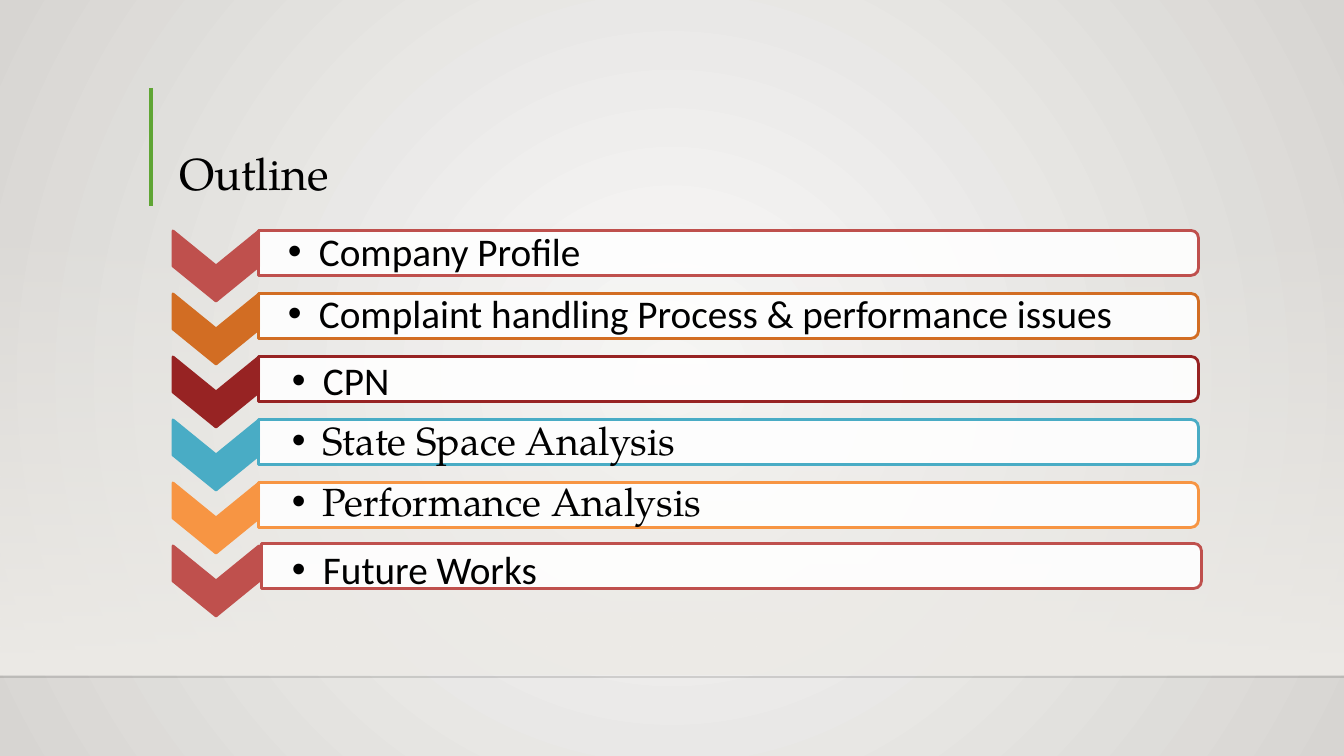
from pptx import Presentation
from pptx.dml.color import RGBColor
from pptx.enum.shapes import MSO_CONNECTOR, MSO_SHAPE
from pptx.enum.text import MSO_ANCHOR, PP_ALIGN
from pptx.oxml.ns import qn
from pptx.util import Pt
from lxml import etree

STRAIGHT = MSO_CONNECTOR.STRAIGHT
RECTANGLE = MSO_SHAPE.RECTANGLE
CHEVRON = MSO_SHAPE.CHEVRON
BAR = MSO_SHAPE.ROUND_2_SAME_RECTANGLE
MIDDLE, BOTTOM = MSO_ANCHOR.MIDDLE, MSO_ANCHOR.BOTTOM
LEFT = PP_ALIGN.LEFT

SLIDE_SIZE = (1344, 756)
SERIF, SANS = "TeX Gyre Pagella", "Calibri"
TITLE = {"text": "Outline", "box": (169, 89, 1049, 116), "size": 32}
TOPICS = [
    {"text": "Company Profile", "font": SANS, "color": "BF504D", "label": (259, 233), "shift": (0, 0)},
    {"text": "Complaint handling Process & performance issues", "font": SANS, "color": "D26D23",
     "label": (259, 295), "shift": (0, 0)},
    {"text": "CPN", "font": SANS, "color": "972323", "label": (263, 362), "shift": (0, 0)},
    {"text": "State Space Analysis", "font": SERIF, "color": "49ACC5", "label": (263, 422), "shift": (0, 0)},
    {"text": "Performance Analysis", "font": SERIF, "color": "F79543", "label": (263, 483), "shift": (0, 0)},
    {"text": "Future Works", "font": SANS, "color": "BF504D", "label": (263, 551), "shift": (3, -2)},
]
LINES = [
    {"ends": (0, 677, 1344, 677), "color": "000001", "width": 1, "opacity": 20},
    {"ends": (151, 88, 151, 206), "color": "5FA534", "width": 3, "opacity": 100},
]
FLOOR = (0, 222, 1344, 453)
ROW_PITCH = 63
CHEVRON_CENTER, CHEVRON_SIZE = (216, 266), (70, 86)
BAR_CENTER, BAR_SIZE = (728.5, 253), (45, 940)
LABEL_SIZE = (944, 41)
LABEL_INSETS = {"margin_left": 29, "margin_top": 3, "margin_right": 3, "margin_bottom": 3}
LABEL_POINTS, BULLET_INDENT = 28, 31
SCALE = 914400 / 100.8


def px(*lengths):
    return [round(length * SCALE) for length in lengths]


def rgb(color):
    return RGBColor.from_string(color)


def set_attributes(target, values):
    for name, value in values.items():
        setattr(target, name, value)


def set_opacity(fill_element, percent):
    for color in fill_element.iter(qn("a:srgbClr")):
        etree.SubElement(color, qn("a:alpha"), val=str(percent * 1000))


def set_gradient(fill, colors):
    fill.gradient()
    for stop, color in zip(fill.gradient_stops, colors):
        stop.color.rgb = rgb(color)


def paint_background(slide):
    set_gradient(slide.background.fill, ("FAFAF9", "D7D5D2"))
    gradient = next(slide.element.iter(qn("a:gradFill")))
    gradient.remove(gradient.find(qn("a:lin")))
    circle = etree.SubElement(gradient, qn("a:path"), path="circle")
    etree.SubElement(circle, qn("a:fillToRect"), l="50000", t="50000", r="50000", b="50000")


def add_floor(slide):
    shape = slide.shapes.add_shape(RECTANGLE, *px(*FLOOR))
    shape.shadow.inherit = False
    shape.line.fill.background()
    set_gradient(shape.fill, ("EDEBE7", "EDEBE7"))
    shape.fill.gradient_angle = 270
    set_opacity(next(shape.element.iter(qn("a:gs"))), 0)


def add_line(slide, line):
    connector = slide.shapes.add_connector(STRAIGHT, *px(*line["ends"]))
    connector.line.color.rgb = rgb(line["color"])
    connector.line.width = Pt(line["width"])
    properties = connector.element.spPr
    if line["opacity"] < 100:
        set_opacity(properties, line["opacity"])
    etree.SubElement(properties, qn("a:effectLst"))


def add_turned_shape(slide, kind, center, size, adjustments, fill, line):
    left, top = (middle - length / 2 for middle, length in zip(center, size))
    shape = slide.shapes.add_shape(kind, *px(left, top, *size))
    shape.rotation = 90
    shape.shadow.inherit = False
    for index, value in enumerate(adjustments):
        shape.adjustments[index] = value
    shape.fill.solid()
    shape.fill.fore_color.rgb = rgb(fill)
    shape.line.color.rgb = rgb(line)
    shape.line.width = Pt(2)
    return shape


def write_text(shape, text, font, size, anchor):
    frame = shape.text_frame
    set_attributes(frame, {"word_wrap": True, "vertical_anchor": anchor})
    paragraph = frame.paragraphs[0]
    set_attributes(paragraph, {"alignment": LEFT, "line_spacing": 0.9})
    run = paragraph.add_run()
    run.text = text
    set_attributes(run.font, {"name": font, "size": Pt(size)})
    run.font.color.rgb = rgb("000000")
    return paragraph


def add_bullet(paragraph):
    properties = paragraph._p.get_or_add_pPr()
    indent, = px(BULLET_INDENT)
    properties.set("marL", str(indent))
    properties.set("indent", str(-indent))
    bullet_color = etree.SubElement(properties, qn("a:buClr"))
    etree.SubElement(bullet_color, qn("a:srgbClr"), val="000000")
    etree.SubElement(properties, qn("a:buFont"), typeface="Arial")
    etree.SubElement(properties, qn("a:buChar"), char="•")


def add_topic(slide, row, topic):
    offset = row * ROW_PITCH
    color = topic["color"]
    chevron_x, chevron_y = CHEVRON_CENTER
    add_turned_shape(slide, CHEVRON, (chevron_x, chevron_y + offset), CHEVRON_SIZE, [0.5], color, color)
    bar_x, bar_y = (middle + shift for middle, shift in zip(BAR_CENTER, topic["shift"]))
    bar = add_turned_shape(slide, BAR, (bar_x, bar_y + offset), BAR_SIZE, [0.167, 0], "FFFFFF", color)
    set_opacity(bar.element.spPr.find(qn("a:solidFill")), 90)
    label = slide.shapes.add_textbox(*px(*topic["label"], *LABEL_SIZE))
    set_attributes(label.text_frame, {name: px(inset)[0] for name, inset in LABEL_INSETS.items()})
    add_bullet(write_text(label, topic["text"], topic["font"], LABEL_POINTS, MIDDLE))


def main():
    presentation = Presentation()
    presentation.slide_width, presentation.slide_height = px(*SLIDE_SIZE)
    slide = presentation.slides.add_slide(presentation.slide_layouts[5])
    paint_background(slide)
    add_floor(slide)
    for line in LINES:
        add_line(slide, line)
    title = slide.shapes.title
    set_attributes(title, dict(zip(("left", "top", "width", "height"), px(*TITLE["box"]))))
    write_text(title, TITLE["text"], SERIF, TITLE["size"], BOTTOM)
    for row, topic in enumerate(TOPICS):
        add_topic(slide, row, topic)
    presentation.save("out.pptx")


if __name__ == "__main__":
    main()
